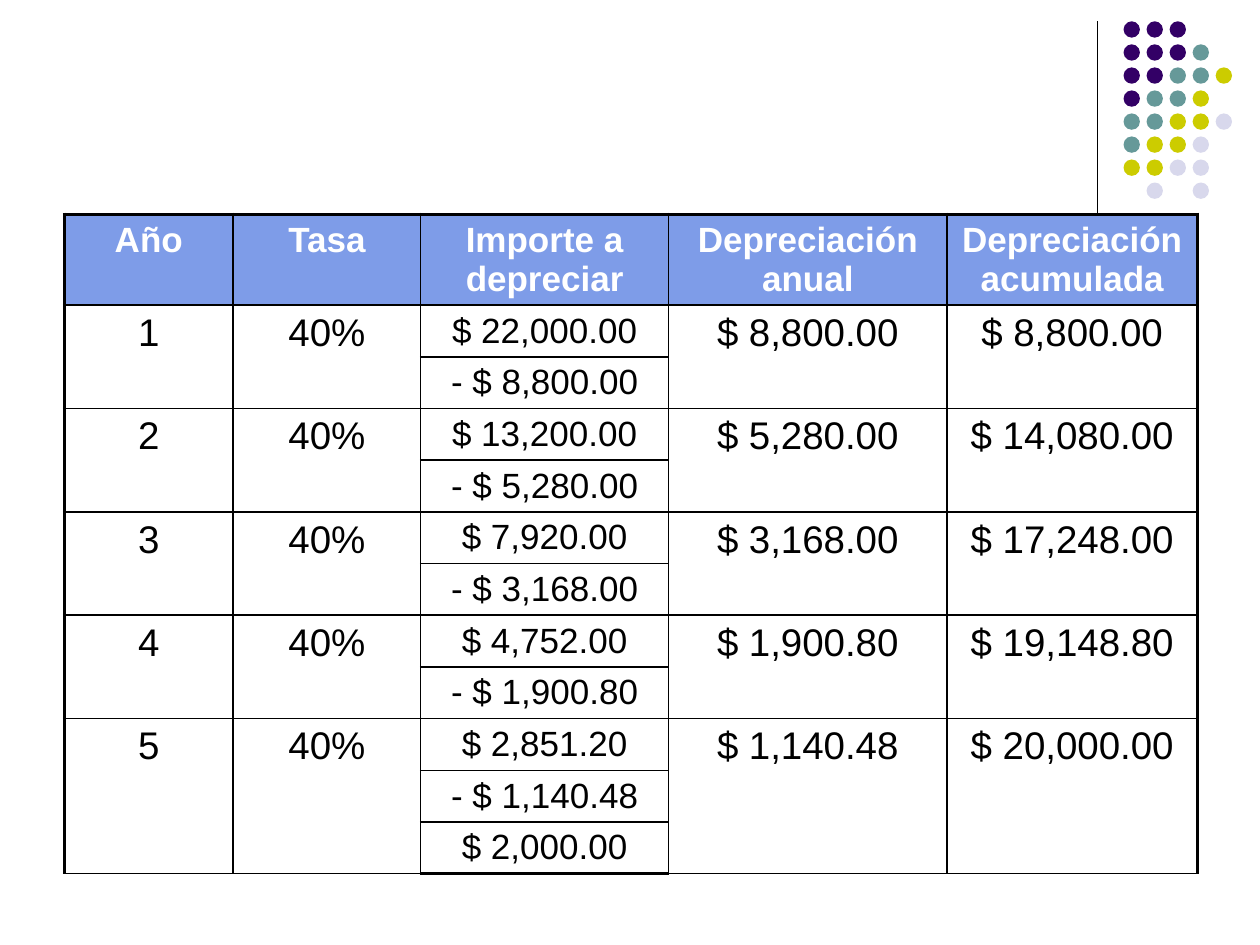
"""Build the depreciation table slide."""
from dataclasses import dataclass

from lxml import etree
from pptx import Presentation
from pptx import util as u
from pptx.dml.color import RGBColor
from pptx.enum import shapes, text
from pptx.oxml import ns

BLACK = RGBColor(0x00, 0x00, 0x00)
WHITE = RGBColor(0xFF, 0xFF, 0xFF)
HEADER_BLUE = RGBColor(0x7E, 0x9C, 0xE8)
DOT_COLORS = {
    "P": RGBColor(0x33, 0x00, 0x66),
    "T": RGBColor(0x66, 0x99, 0x99),
    "Y": RGBColor(0xCC, 0xCC, 0x00),
    "L": RGBColor(0xD8, 0xD8, 0xEC),
}
DOT_ROWS = ("PPP", "PPPT", "PPTTY", "PTTY", "TTYYL", "TYYL", "YYLL", " L L")
DOT_PITCH = 3.25 / (len(DOT_ROWS) - 1)
COLUMN_WIDTHS = (3.4, 3.78, 5.0, 5.61, 5.05)
HEADER_HEIGHT, ROW_HEIGHT = 1.83, 1.04
HEADINGS = ("Año", "Tasa", "Importe a depreciar", "Depreciación anual",
            "Depreciación acumulada")
AMOUNT_COLUMN = 2
THIN, THICK = 1, 2.25


@dataclass(frozen=True)
class Year:
    """One year of depreciation and the steps of its amount."""
    number: str
    amounts: tuple[str, ...]
    annual: str
    accumulated: str
    rate: str = "40%"


YEARS = (
    Year("1", ("$ 22,000.00", "- $ 8,800.00"), "$ 8,800.00", "$ 8,800.00"),
    Year("2", ("$ 13,200.00", "- $ 5,280.00"), "$ 5,280.00", "$ 14,080.00"),
    Year("3", ("$ 7,920.00", "- $ 3,168.00"), "$ 3,168.00", "$ 17,248.00"),
    Year("4", ("$ 4,752.00", "- $ 1,900.80"), "$ 1,900.80", "$ 19,148.80"),
    Year("5", ("$ 2,851.20", "- $ 1,140.48", "$ 2,000.00"), "$ 1,140.48",
         "$ 20,000.00"),
)


def draw_divider(slide) -> None:
    """Draw the vertical line beside the dots."""
    divider = slide.shapes.add_connector(
        shapes.MSO_CONNECTOR.STRAIGHT,
        u.Cm(22.12), u.Cm(0.43), u.Cm(22.12), u.Cm(4.65))
    divider.line.color.rgb = BLACK
    divider.line.width = u.Pt(0.75)
    etree.SubElement(divider._element.spPr, ns.qn("a:effectLst"))


def draw_dots(slide) -> None:
    """Draw the grouped dot pattern in the corner."""
    pattern = slide.shapes.add_group_shape()
    for row, codes in enumerate(DOT_ROWS):
        for column, code in enumerate(codes):
            if code not in DOT_COLORS:
                continue
            dot = pattern.shapes.add_shape(
                shapes.MSO_SHAPE.OVAL,
                u.Cm(22.65 + column * DOT_PITCH),
                u.Cm(0.43 + row * DOT_PITCH), u.Cm(0.33), u.Cm(0.33))
            dot.shadow.inherit = False
            dot.fill.solid()
            dot.fill.fore_color.rgb = DOT_COLORS[code]
            dot.line.fill.background()


def draw_border(cell, side: str, width: float) -> None:
    """Add one solid black border to a cell."""
    edge = etree.SubElement(cell._tc.get_or_add_tcPr(), ns.qn(f"a:ln{side}"),
                            w=str(u.Pt(width)))
    paint = etree.SubElement(edge, ns.qn("a:solidFill"))
    etree.SubElement(paint, ns.qn("a:srgbClr"), val=str(BLACK))


def write_cell(cell, wording: str, size: int, color: RGBColor,
               bold: bool = False) -> None:
    """Write centred text into a cell."""
    cell.text_frame.text = wording
    paragraph = cell.text_frame.paragraphs[0]
    paragraph.alignment = text.PP_ALIGN.CENTER
    font = paragraph.runs[0].font
    font.name, font.size, font.bold = "Arial", u.Pt(size), bold
    font.color.rgb = color


def style_cells(table) -> None:
    """Set the borders and fill of every cell."""
    last_row, last_column = len(table.rows) - 1, len(table.columns) - 1
    for row in range(last_row + 1):
        for column in range(last_column + 1):
            cell = table.cell(row, column)
            outer = {"L": column == 0, "R": column == last_column,
                     "T": row == 0, "B": row == last_row}
            for side, is_outer in outer.items():
                draw_border(cell, side, THICK if is_outer else THIN)
            if row == 0:
                cell.fill.solid()
                cell.fill.fore_color.rgb = HEADER_BLUE
            else:
                cell.fill.background()


def draw_table(slide) -> None:
    """Draw the depreciation table."""
    row_count = sum(len(year.amounts) for year in YEARS)
    table = slide.shapes.add_table(
        row_count + 1, len(HEADINGS), u.Cm(1.3), u.Cm(4.32),
        u.Cm(sum(COLUMN_WIDTHS)),
        u.Cm(HEADER_HEIGHT + row_count * ROW_HEIGHT)).table
    table.horz_banding = False
    table.first_row = False
    for column, width in zip(table.columns, COLUMN_WIDTHS):
        column.width = u.Cm(width)
    for index, row in enumerate(table.rows):
        row.height = u.Cm(ROW_HEIGHT if index else HEADER_HEIGHT)
    style_cells(table)

    for column, heading in enumerate(HEADINGS):
        write_cell(table.cell(0, column), heading, 20, WHITE, bold=True)
    top = 1
    for year in YEARS:
        bottom = top + len(year.amounts) - 1
        merged = {0: year.number, 1: year.rate, 3: year.annual,
                  4: year.accumulated}
        for column, wording in merged.items():
            cell = table.cell(top, column)
            cell.merge(table.cell(bottom, column))
            write_cell(cell, wording, 22, BLACK)
        for row, amount in enumerate(year.amounts, top):
            write_cell(table.cell(row, AMOUNT_COLUMN), amount, 20, BLACK)
        top = bottom + 1


def main() -> None:
    """Create and save the presentation."""
    deck = Presentation()
    deck.slide_width, deck.slide_height = u.Cm(25.4), u.Cm(19.05)
    slide = deck.slides.add_slide(deck.slide_layouts[6])
    draw_divider(slide)
    draw_dots(slide)
    draw_table(slide)
    deck.save("out.pptx")


main()
